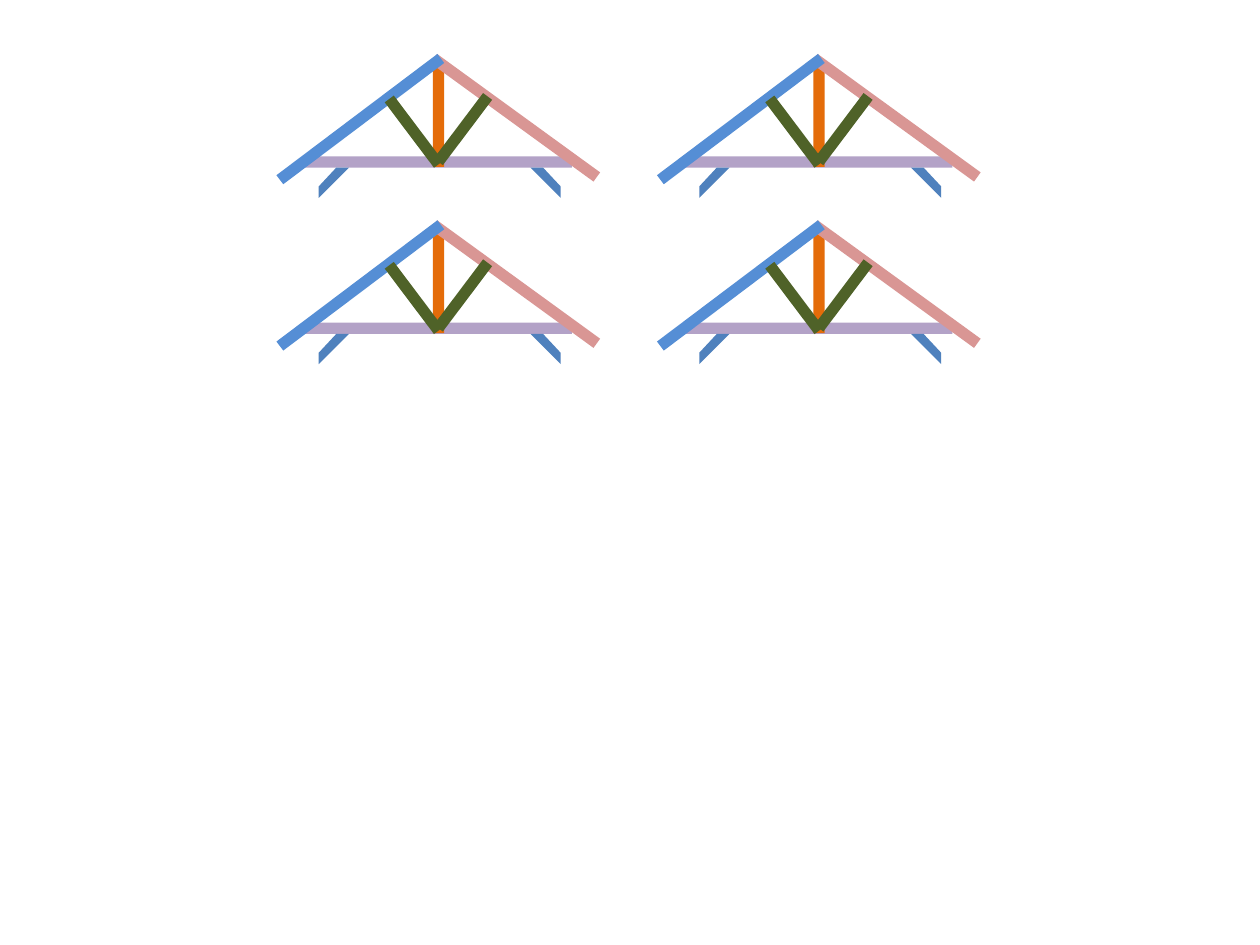
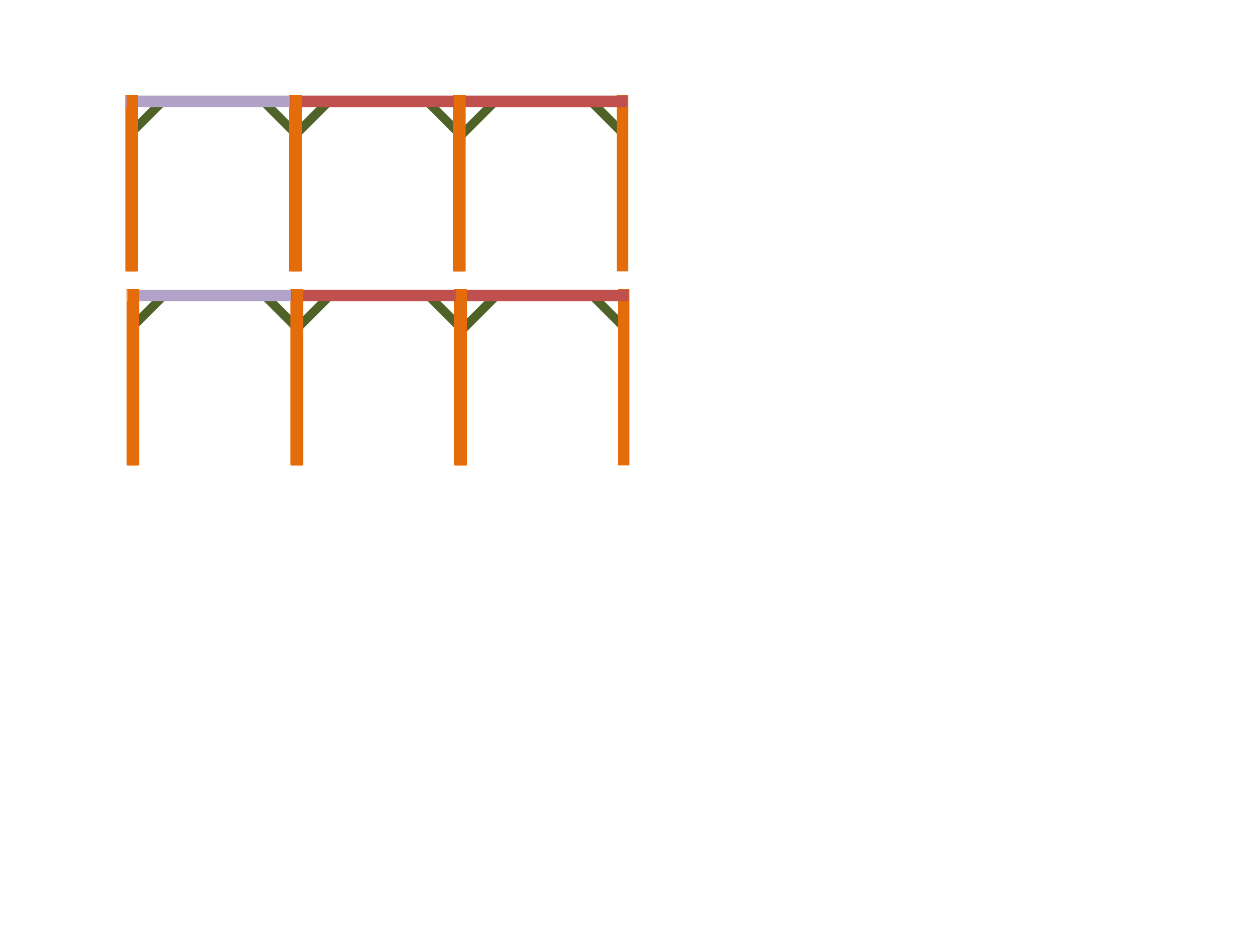
"""Draw four roof trusses and two timber wall frames."""
from pptx import Presentation
from pptx.dml.color import RGBColor
from pptx.enum.shapes import MSO_SHAPE
from pptx.util import Inches

LAVENDER, ORANGE, ROSE, SKY = "B3A2C7", "E46C0A", "D99694", "558ED5"
GREEN, BLUE, RED = "4F6228", "4F81BD", "C0504D"
THICK = 0.09

TRUSS_BARS = [
    (2.41, 1.24, 2.13, 0, LAVENDER),
    (3.08, 0.88, 0.8, 90, ORANGE),
    (3.29, 0.89, 1.6, 36, ROSE),
    (2.06, 0.9, 1.6, 323, SKY),
    (2.96, 1, 0.65, 53, GREEN),
    (3.35, 0.98, 0.65, 307, GREEN),
]
BRACKET = [(2.67, 1.33), (2.77, 1.33), (2.53, 1.57), (2.53, 1.48)]
TRUSS_MIRROR = 6.98
TRUSS_OFFSETS = [(column * 3.02, row * 1.32) for row in range(2) for column in range(2)]

BEAM_COLOURS = [LAVENDER, RED, RED]
BEAM_LENGTH, BAY = 1.38, 1.3
POST_LENGTH = 1.4
BRACE_LENGTH, BRACE_THICK = 0.34, 0.07
FRAME_OFFSETS = [(0.01, 1.54), (0, 0)]


def paint(shape, colour):
    shape.shadow.inherit = False
    shape.fill.solid()
    shape.fill.fore_color.rgb = RGBColor.from_string(colour)
    shape.line.fill.background()


def add_bar(group, left, top, length, angle, colour, thick=THICK):
    bar = group.shapes.add_shape(
        MSO_SHAPE.RECTANGLE, Inches(left), Inches(top), Inches(length), Inches(thick))
    bar.rotation = angle
    paint(bar, colour)


def add_polygon(group, points, colour):
    corners = [(Inches(x), Inches(y)) for x, y in points]
    builder = group.shapes.build_freeform(*corners[0])
    builder.add_line_segments(corners[1:], close=True)
    paint(builder.convert_to_shape(), colour)


def add_truss(page, across, down):
    truss = page.shapes.add_group_shape()
    for left, top, length, angle, colour in TRUSS_BARS:
        add_bar(truss, left + across, top + down, length, angle, colour)
    mirrored = [(TRUSS_MIRROR - x, y) for x, y in BRACKET]
    for bracket in (BRACKET, mirrored):
        add_polygon(truss, [(x + across, y + down) for x, y in bracket], BLUE)


def add_frame(page, across, down):
    frame = page.shapes.add_group_shape()
    bays = len(BEAM_COLOURS)
    for bay in range(bays):
        left_brace = (1 + bay * 1.31, 0.89 + bay * 0.01, 315)
        right_brace = (2.04 + bay * BAY, 0.89, 45)
        for left, top, angle in (left_brace, right_brace):
            add_bar(frame, left + across, top + down, BRACE_LENGTH, angle, GREEN, BRACE_THICK)

    def add_posts(first, count):
        for post in range(count):
            add_bar(frame, first + post * BAY + across, 1.41 + down, POST_LENGTH, 90, ORANGE)

    add_posts(0.34, bays + 1)
    for bay, colour in enumerate(BEAM_COLOURS):
        add_bar(frame, 1 + bay * BAY + across, 0.76 + down, BEAM_LENGTH, 0, colour)
    add_posts(0.35, bays)


def main():
    deck = Presentation()
    deck.slide_width, deck.slide_height = Inches(10), Inches(7.5)
    for add_part, offsets in ((add_truss, TRUSS_OFFSETS), (add_frame, FRAME_OFFSETS)):
        page = deck.slides.add_slide(deck.slide_layouts[6])
        for across, down in offsets:
            add_part(page, across, down)
    deck.save("out.pptx")


if __name__ == "__main__":
    main()
